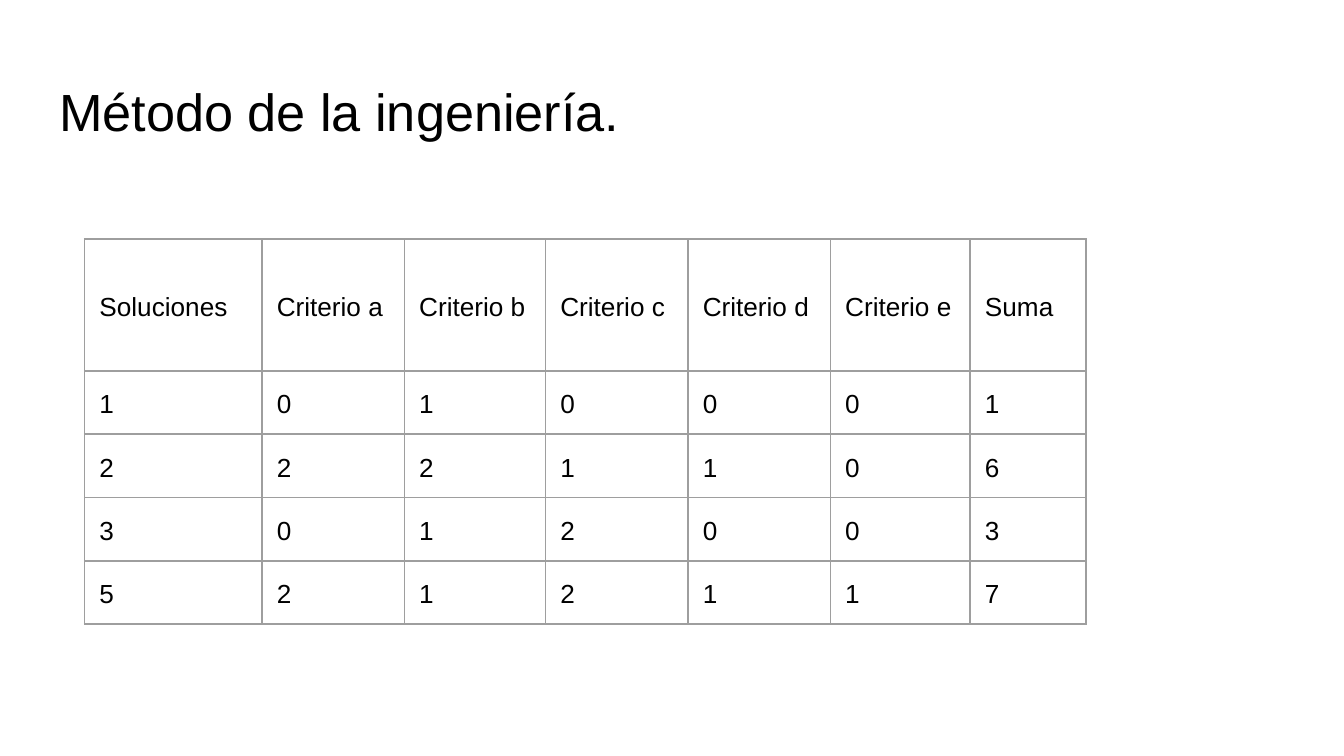
from lxml import etree
from pptx import Presentation
from pptx.dml.color import RGBColor
from pptx.enum.text import MSO_ANCHOR, MSO_AUTO_SIZE, PP_ALIGN
from pptx.oxml.ns import qn
from pptx.util import Inches, Pt

TOP, MIDDLE = MSO_ANCHOR.TOP, MSO_ANCHOR.MIDDLE
LEFT = PP_ALIGN.LEFT
NO_AUTOFIT = MSO_AUTO_SIZE.NONE
TITLE_ONLY = 5

COLORS = {"text": "000000", "border": "9E9E9E"}
FONT = "Arial"

COLUMN_WIDTHS = [1.32, 1.06, 1.05, 1.06, 1.06, 1.04, 0.86]
HEADER_HEIGHT, ROW_HEIGHT = 0.98, 0.45
CELL_MARGIN = 0.11
HEADERS = ["Soluciones", *(f"Criterio {letter}" for letter in "abcde"), "Suma"]
SCORES = [
    [1, 0, 1, 0, 0, 0, 1],
    [2, 2, 2, 1, 1, 0, 6],
    [3, 0, 1, 2, 0, 0, 3],
    [5, 2, 1, 2, 1, 1, 7],
]


def format_text(paragraph, size):
    paragraph.alignment = LEFT
    for run in paragraph.runs:
        run.font.name = FONT
        run.font.size = Pt(size)
        run.font.color.rgb = RGBColor.from_string(COLORS["text"])


def set_margins(target, inches):
    for side in ("left", "top", "right", "bottom"):
        setattr(target, f"margin_{side}", Inches(inches))


def add_borders(cell):
    properties = cell._tc.get_or_add_tcPr()
    # Border lines must come before the cell fill
    for position, side in enumerate(("lnL", "lnR", "lnT", "lnB")):
        line = etree.Element(qn(f"a:{side}"), w=str(Pt(1)))
        fill = etree.SubElement(line, qn("a:solidFill"))
        etree.SubElement(fill, qn("a:srgbClr"), val=COLORS["border"])
        properties.insert(position, line)


def fill_cell(cell, text, anchor):
    cell.fill.background()
    cell.vertical_anchor = anchor
    set_margins(cell, CELL_MARGIN)
    cell.text_frame.text = text
    paragraph = cell.text_frame.paragraphs[0]
    paragraph.line_spacing = 1.15
    format_text(paragraph, 14)
    add_borders(cell)


def build_title(slide, left, top, width, height):
    title = slide.shapes.title
    title.left, title.top = Inches(left), Inches(top)
    title.width, title.height = Inches(width), Inches(height)
    text_frame = title.text_frame
    text_frame.text = "Método de la ingeniería."
    text_frame.auto_size = NO_AUTOFIT
    text_frame.vertical_anchor = TOP
    set_margins(text_frame, 0.1)
    format_text(text_frame.paragraphs[0], 28)


def build_score_table(slide, left, top):
    rows = [HEADERS, *SCORES]
    heights = [HEADER_HEIGHT] + [ROW_HEIGHT] * len(SCORES)
    table = slide.shapes.add_table(
        len(rows), len(HEADERS), Inches(left), Inches(top),
        Inches(sum(COLUMN_WIDTHS)), Inches(sum(heights)),
    ).table
    table.first_row = False
    table.horz_banding = False
    for column, width in zip(table.columns, COLUMN_WIDTHS):
        column.width = Inches(width)
    for row_index, (values, height) in enumerate(zip(rows, heights)):
        table.rows[row_index].height = Inches(height)
        anchor = MIDDLE if row_index == 0 else TOP
        for column_index, value in enumerate(values):
            fill_cell(table.cell(row_index, column_index), str(value), anchor)


def main():
    presentation = Presentation()
    # Widescreen, 16:9
    presentation.slide_width = Inches(10)
    presentation.slide_height = Inches(10) * 9 // 16
    slide = presentation.slides.add_slide(presentation.slide_layouts[TITLE_ONLY])

    # Heading
    build_title(slide, 0.34, 0.49, 9.32, 0.63)
    # Solutions scored by criterion
    build_score_table(slide, 0.63, 1.78)

    presentation.save("out.pptx")


if __name__ == "__main__":
    main()
